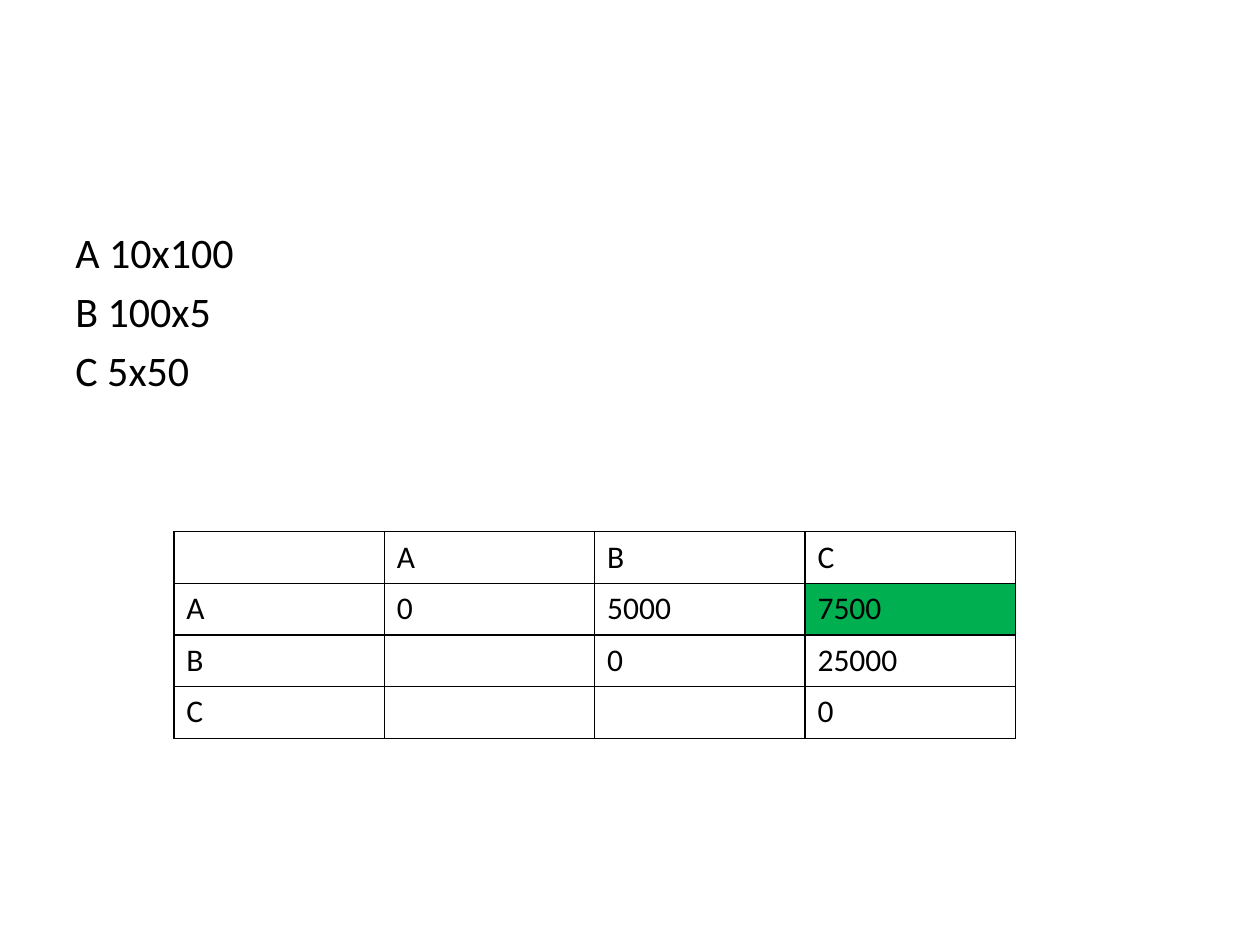
from dataclasses import dataclass

from lxml.etree import SubElement
from pptx import Presentation
from pptx.dml.color import RGBColor as RGB
from pptx.oxml.ns import qn
from pptx.util import Inches, Pt


@dataclass(frozen=True)
class Theme:
    """Colours and type sizes of the slide."""
    font: str = "Calibri"
    ink: str = "000000"
    result: str = "00B050"
    body: float = 24
    cell: float = 18
    border: float = 1


THEME = Theme()
MATRICES = ["A 10x100", "B 100x5", "C 5x50"]
COSTS = [
    ["", "A", "B", "C"],
    ["A", "0", "5000", "7500"],
    ["B", "", "0", "25000"],
    ["C", "", "", "0"],
]
RESULT_CELL = (1, 3)


def write(p, text, *, size, color=THEME.ink, before=0):
    """Put formatted text into a paragraph."""
    p.space_before = Pt(before)
    r = p.add_run()
    r.text = text
    r.font.name = THEME.font
    r.font.size = Pt(size)
    r.font.color.rgb = RGB.from_string(color)


def add_lines(s, lines, left, top, width, height):
    """Add a text box with one paragraph for each line."""
    box = s.shapes.add_textbox(*map(Inches, (left, top, width, height)))
    tf = box.text_frame
    tf.word_wrap = True
    for i, line in enumerate(lines):
        p = tf.add_paragraph() if i else tf.paragraphs[0]
        write(p, line, size=THEME.body, before=0.2 * THEME.body)
        pPr = p._p.get_or_add_pPr()
        pPr.set("marL", str(Inches(0.38)))
        pPr.set("indent", str(-Inches(0.38)))


def set_borders(cell):
    """Draw a thin line on all four sides of a cell."""
    tcPr = cell._tc.get_or_add_tcPr()
    for i, side in enumerate(("lnL", "lnR", "lnT", "lnB")):
        ln = tcPr.makeelement(qn(f"a:{side}"), {"w": str(Pt(THEME.border))})
        fill = SubElement(ln, qn("a:solidFill"))
        SubElement(fill, qn("a:srgbClr"), val=THEME.ink)
        tcPr.insert(i, ln)


def add_grid(s, rows, left, top, col_width, row_height):
    """Add a bordered table with equal columns and rows."""
    n_rows, n_cols = len(rows), len(rows[0])
    size = (n_cols * col_width, n_rows * row_height)
    table = s.shapes.add_table(
        n_rows, n_cols, *map(Inches, (left, top, *size))).table
    table.first_row = table.horz_banding = False
    for i, row in enumerate(rows):
        for j, value in enumerate(row):
            cell = table.cell(i, j)
            if value:
                write(cell.text_frame.paragraphs[0], value, size=THEME.cell)
            if (i, j) == RESULT_CELL:
                cell.fill.solid()
                cell.fill.fore_color.rgb = RGB.from_string(THEME.result)
            else:
                cell.fill.background()
            set_borders(cell)


def main():
    """Build the slide and save it."""
    prs = Presentation()
    prs.slide_width, prs.slide_height = Inches(10), Inches(7.5)
    s = prs.slides.add_slide(prs.slide_layouts[6])
    add_lines(s, MATRICES, 0.5, 1.75, 9, 4.95)
    add_grid(s, COSTS, 1.38, 4.22, 1.67, 0.41)
    prs.save("out.pptx")


main()
